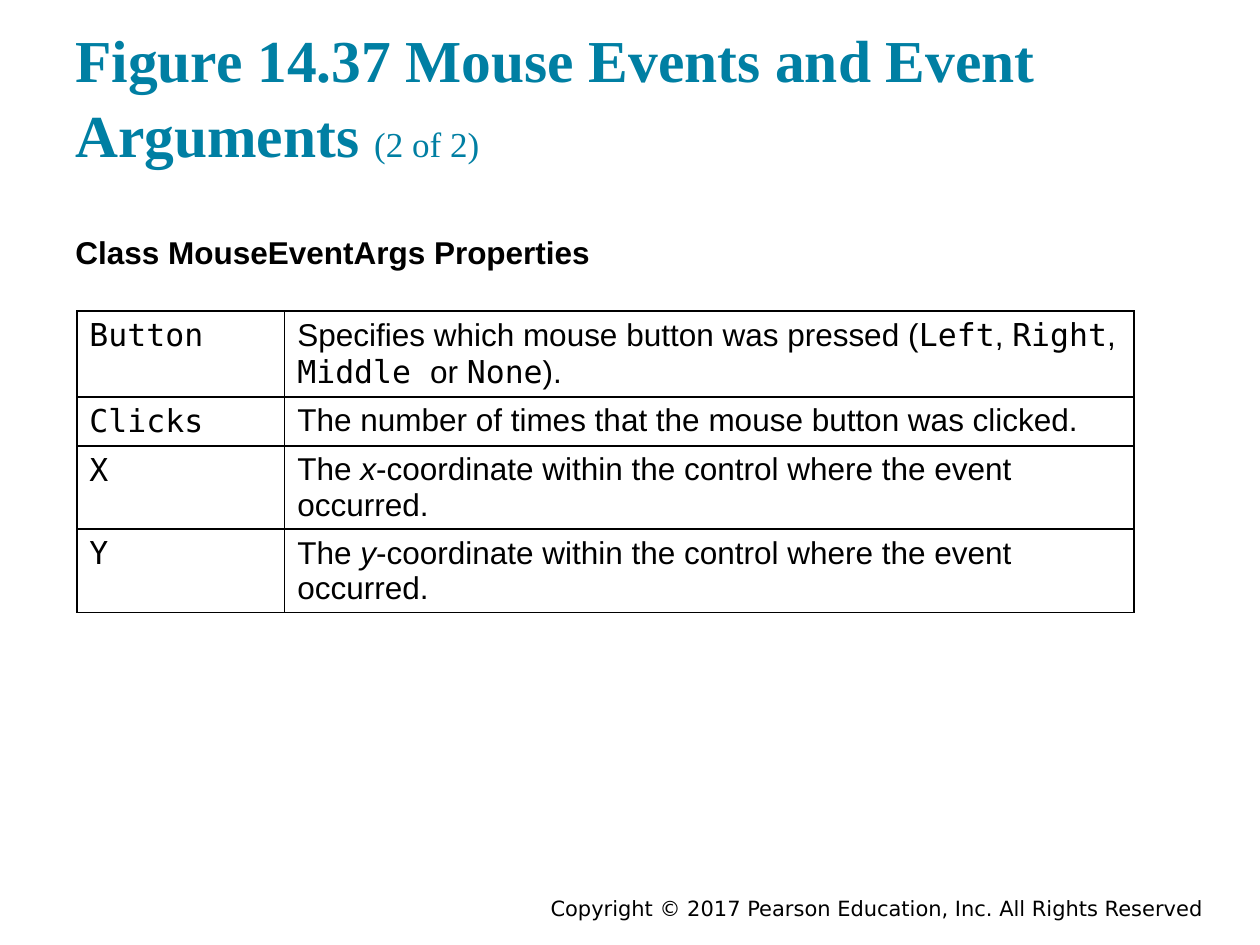
from typing import NamedTuple

from lxml.etree import SubElement
from pptx import Presentation
from pptx.dml.color import RGBColor
from pptx.enum.text import MSO_ANCHOR, MSO_AUTO_SIZE, PP_ALIGN
from pptx.oxml.ns import qn
from pptx.util import Cm, Pt

TEAL = RGBColor(0x00, 0x7F, 0xA3)
BLACK = RGBColor(0x00, 0x00, 0x00)
SERIF, SANS = "Times New Roman", "Arial"
MONO, FOOTER_FONT = "DejaVu Sans Mono", "DejaVu Sans"
INSET = Cm(0.25)
COLUMN_WIDTHS = (Cm(4.19), Cm(17.12))
ROW_HEIGHT = Cm(0.76)


class Span(NamedTuple):
    text: str
    font: str = SANS
    italic: bool = False


class Property(NamedTuple):
    name: str
    description: list[Span]


def coordinate(axis: str) -> Property:
    return Property(axis.upper(), [
        Span("The "),
        Span(axis, italic=True),
        Span("-coordinate within the control where the event occurred."),
    ])


PROPERTIES = [
    Property("Button", [
        Span("Specifies which mouse button was pressed ("),
        Span("Left", MONO),
        Span(", "),
        Span("Right", MONO),
        Span(", "),
        Span("Middle ", MONO),
        Span("or "),
        Span("None", MONO),
        Span(")."),
    ]),
    Property("Clicks", [Span("The number of times that the mouse button was clicked.")]),
    coordinate("x"),
    coordinate("y"),
]


def style_font(font, name: str, size: int, color: RGBColor) -> None:
    font.name = name
    font.size = Pt(size)
    font.color.rgb = color


def prepare_frame(shape, anchor: MSO_ANCHOR):
    """Set wrapping, insets and anchor, and return the first paragraph."""
    frame = shape.text_frame
    frame.word_wrap = True
    frame.auto_size = MSO_AUTO_SIZE.NONE
    frame.vertical_anchor = anchor
    frame.margin_left = frame.margin_right = INSET
    frame.margin_top = frame.margin_bottom = INSET
    return frame.paragraphs[0]


def place(shape, left: float, top: float, width: float, height: float) -> None:
    shape.left, shape.top = Cm(left), Cm(top)
    shape.width, shape.height = Cm(width), Cm(height)


def fill_title(shape) -> None:
    place(shape, 1.27, 0.61, 22.86, 3.05)
    paragraph = prepare_frame(shape, MSO_ANCHOR.BOTTOM)
    paragraph.alignment = PP_ALIGN.LEFT
    paragraph.line_spacing = 1.05
    style_font(paragraph.font, SERIF, 34, TEAL)
    for text, size, bold in (
        ("Figure 14.37 Mouse Events and Event Arguments ", 34, True),
        ("(2 of 2)", 20, False),
    ):
        run = paragraph.add_run()
        run.text = text
        run.font.size = Pt(size)
        run.font.bold = bold


def fill_heading(shape) -> None:
    place(shape, 1.27, 4.45, 22.86, 1.17)
    paragraph = prepare_frame(shape, MSO_ANCHOR.TOP)
    paragraph.text = "Class MouseEventArgs Properties"
    paragraph.space_before = Pt(0)
    properties = paragraph._p.get_or_add_pPr()
    properties.set("marL", "0")
    properties.set("indent", "0")
    SubElement(properties, qn("a:buNone"))
    style_font(paragraph.font, SANS, 18, BLACK)
    paragraph.font.bold = True


def add_borders(cell) -> None:
    properties = cell._tc.get_or_add_tcPr()
    for side in ("lnL", "lnR", "lnT", "lnB"):
        line = SubElement(properties, qn(f"a:{side}"), w=str(Pt(1)))
        fill = SubElement(line, qn("a:solidFill"))
        SubElement(fill, qn("a:srgbClr"), val=str(BLACK))


def fill_cell(cell, spans: list[Span]) -> None:
    add_borders(cell)
    cell.fill.background()
    paragraph = cell.text_frame.paragraphs[0]
    for span in spans:
        run = paragraph.add_run()
        run.text = span.text
        style_font(run.font, span.font, 18, BLACK)
        run.font.italic = span.italic


def add_property_table(slide) -> None:
    table = slide.shapes.add_table(
        len(PROPERTIES), len(COLUMN_WIDTHS), Cm(1.55), Cm(6.27),
        sum(COLUMN_WIDTHS), ROW_HEIGHT * len(PROPERTIES),
    ).table
    table.first_row = table.horz_banding = False
    for column, width in zip(table.columns, COLUMN_WIDTHS):
        column.width = width
    for row, entry in zip(table.rows, PROPERTIES):
        row.height = ROW_HEIGHT
        fill_cell(row.cells[0], [Span(entry.name, MONO)])
        fill_cell(row.cells[1], entry.description)


def add_copyright(slide) -> None:
    box = slide.shapes.add_textbox(Cm(7.62), Cm(17.98), Cm(16.89), Cm(0.64))
    paragraph = prepare_frame(box, MSO_ANCHOR.MIDDLE)
    paragraph.text = "Copyright © 2017 Pearson Education, Inc. All Rights Reserved"
    paragraph.alignment = PP_ALIGN.RIGHT
    style_font(paragraph.font, FOOTER_FONT, 12, BLACK)


def main() -> None:
    presentation = Presentation()
    presentation.slide_width, presentation.slide_height = Cm(25.4), Cm(19.05)
    slide = presentation.slides.add_slide(presentation.slide_layouts[1])
    fill_title(slide.shapes.title)
    fill_heading(slide.placeholders[1])
    add_property_table(slide)
    add_copyright(slide)
    presentation.save("out.pptx")


if __name__ == "__main__":
    main()
